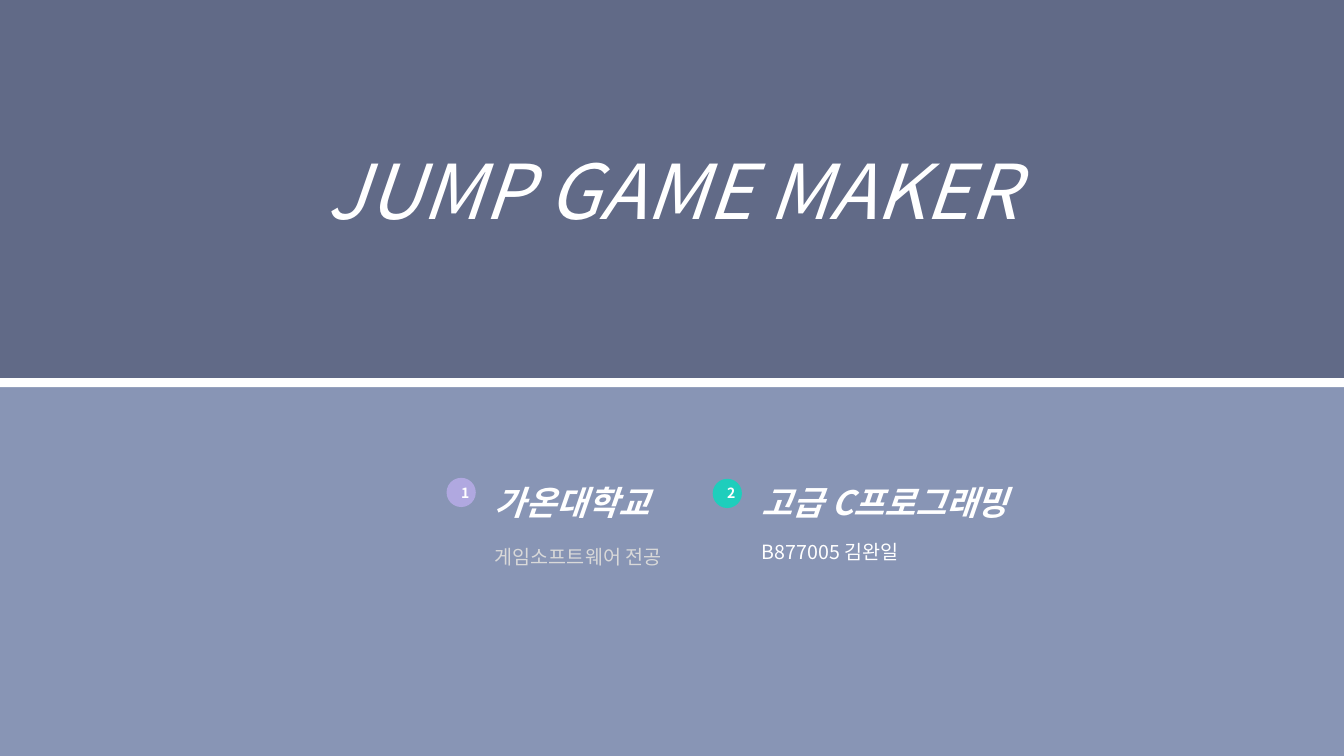
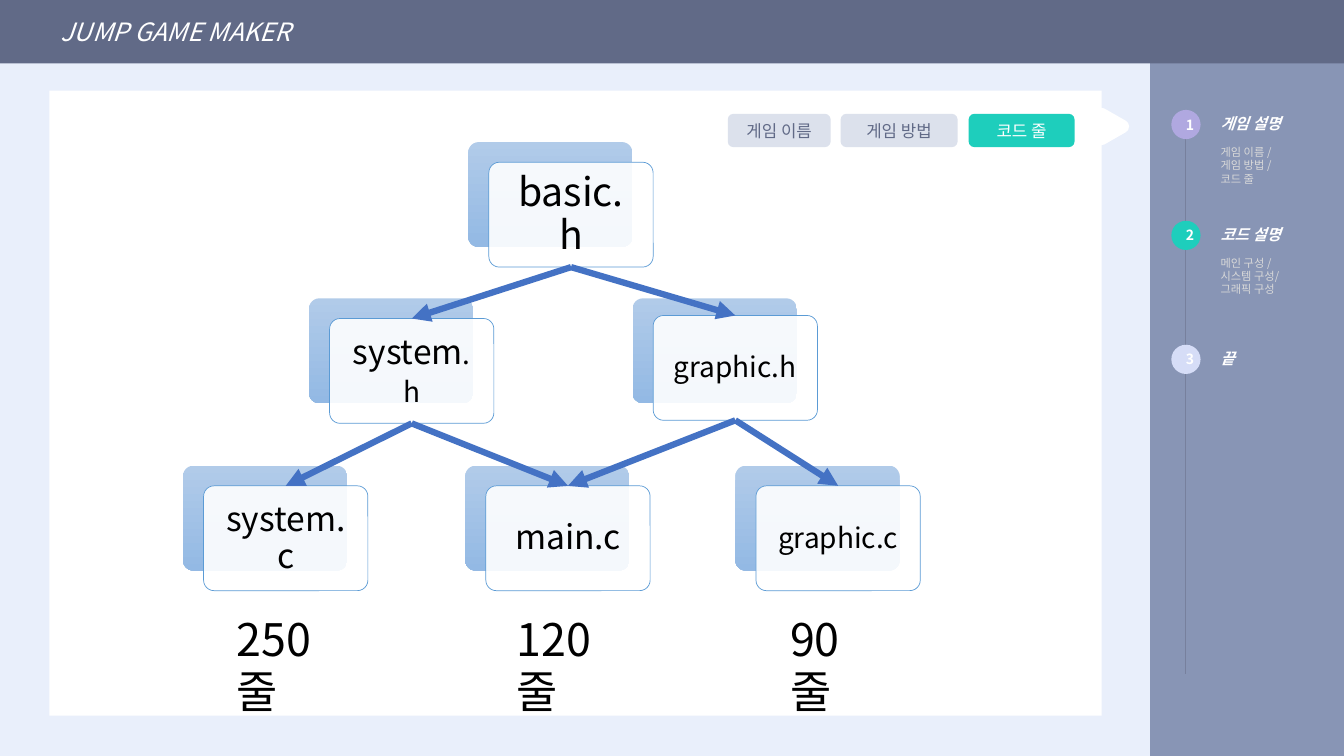
from dataclasses import dataclass

from lxml import etree
from pptx import Presentation
from pptx.dml.color import RGBColor
from pptx.enum.shapes import MSO_CONNECTOR, MSO_SHAPE
from pptx.enum.text import MSO_ANCHOR, PP_ALIGN
from pptx.oxml.ns import qn
from pptx.util import Inches, Pt

RECTANGLE = MSO_SHAPE.RECTANGLE
ROUNDED = MSO_SHAPE.ROUNDED_RECTANGLE
OVAL = MSO_SHAPE.OVAL
TRIANGLE = MSO_SHAPE.ISOSCELES_TRIANGLE
STRAIGHT = MSO_CONNECTOR.STRAIGHT
LEFT, CENTER = PP_ALIGN.LEFT, PP_ALIGN.CENTER
TOP, MIDDLE = MSO_ANCHOR.TOP, MSO_ANCHOR.MIDDLE
TOP_SITE, BOTTOM_SITE = 0, 2

COLUMNS, ROWS = 133.33, 75
TITLE = "JUMP GAME MAKER"


@dataclass(frozen=True)
class TextStyle:
    size: float
    color: str = "FFFFFF"
    bold: bool = False
    italic: bool = False


@dataclass(frozen=True)
class Theme:
    font: str = "Noto Sans CJK KR"
    white: str = "FFFFFF"
    page: str = "E9EFFB"
    navy: str = "616A87"
    slate: str = "8895B5"
    rail: str = "77809D"
    tab: str = "DCE1EC"
    lilac: str = "B0A8E0"
    teal: str = "1ECEBC"
    ice: str = "D6DDF7"
    card_line: str = "5B9BD5"
    arrow: str = "4472C4"
    card_shade: tuple = ("B1CBE9", "93B9E4")
    line_ratio: float = 1.17
    card_ratio: float = 1.1
    cover: TextStyle = TextStyle(54, italic=True)
    header: TextStyle = TextStyle(18, italic=True)
    badge: TextStyle = TextStyle(10, bold=True)
    cover_heading: TextStyle = TextStyle(24, bold=True, italic=True)
    cover_muted: TextStyle = TextStyle(14, "D9D9D9")
    cover_detail: TextStyle = TextStyle(14)
    side_heading: TextStyle = TextStyle(11, bold=True, italic=True)
    side_detail: TextStyle = TextStyle(8, "D9D9D9")
    tab_idle: TextStyle = TextStyle(12, "616A87")
    tab_active: TextStyle = TextStyle(12)
    count: TextStyle = TextStyle(32, "000000")


def grid(value):
    return Inches(value / 10)


def rgb(value):
    return RGBColor.from_string(value)


class Deck:
    def __init__(self, theme):
        self.theme = theme
        self.presentation = Presentation()
        self.presentation.slide_width = grid(COLUMNS)
        self.presentation.slide_height = grid(ROWS)
        self.slide = None

    def add_slide(self, background):
        self.slide = self.presentation.slides.add_slide(self.presentation.slide_layouts[6])
        fill = self.slide.background.fill
        fill.solid()
        fill.fore_color.rgb = rgb(background)

    def format_run(self, run, style):
        font = run.font
        font.name = self.theme.font
        font.size = Pt(style.size)
        font.bold = style.bold
        font.italic = style.italic
        font.color.rgb = rgb(style.color)
        east_asian = etree.Element(qn("a:ea"), typeface=self.theme.font)
        font._element.find(qn("a:latin")).addnext(east_asian)

    def format_frame(self, frame, anchor, margins):
        frame.word_wrap = True
        frame.vertical_anchor = anchor
        (frame.margin_left, frame.margin_top,
         frame.margin_right, frame.margin_bottom) = map(grid, margins)

    def label(self, shape, text, style, align=CENTER, margins=(1, 0.5, 1, 0.5), ratio=None):
        frame = shape.text_frame
        self.format_frame(frame, MIDDLE, margins)
        frame.text = text
        paragraph = frame.paragraphs[0]
        paragraph.alignment = align
        if ratio:
            paragraph.line_spacing = Pt(style.size * ratio)
        self.format_run(paragraph.runs[0], style)
        return paragraph

    def shape(self, kind, left, top, width, height, fill):
        shape = self.slide.shapes.add_shape(
            kind, grid(left), grid(top), grid(width), grid(height))
        shape.shadow.inherit = False
        shape.fill.solid()
        shape.fill.fore_color.rgb = rgb(fill)
        shape.line.fill.background()
        return shape

    def band(self, left, top, width, height, fill):
        return self.shape(RECTANGLE, left, top, width, height, fill)

    def badge(self, left, top, number, fill):
        circle = self.shape(OVAL, left, top, 2.9, 2.9, fill)
        self.label(circle, str(number), self.theme.badge, margins=(0.8, 0, 0, 0))

    def text_block(self, left, top, width, height, lines, gap=0):
        box = self.slide.shapes.add_textbox(grid(left), grid(top), grid(width), grid(height))
        frame = box.text_frame
        self.format_frame(frame, TOP, (1, 0.5, 1, 0.5))
        frame.text = "\n".join(text for text, _ in lines)
        for index, (paragraph, (_, style)) in enumerate(zip(frame.paragraphs, lines)):
            paragraph.alignment = LEFT
            paragraph.line_spacing = Pt(style.size * self.theme.line_ratio)
            if index == 1:
                paragraph.space_before = Pt(gap * self.theme.line_ratio)
            self.format_run(paragraph.runs[0], style)

    def tab(self, left, width, text, active):
        theme = self.theme
        tab = self.shape(ROUNDED, left, 11.3, width, 3.3, theme.teal if active else theme.tab)
        self.label(tab, text, theme.tab_active if active else theme.tab_idle)

    def card(self, left, top, text, size, drop=2, suffix=None):
        theme = self.theme
        shade = self.shape(ROUNDED, left - 2.05, top - drop, 16.3, 10.4, theme.white)
        shade.adjustments[0] = 0.1
        shade.fill.gradient()
        shade.fill.gradient_angle = 270
        for stop, color, position in zip(shade.fill.gradient_stops, theme.card_shade, (0, 1)):
            stop.color.rgb = rgb(color)
            stop.position = position
        card = self.shape(ROUNDED, left, top, 16.3, 10.4, theme.white)
        card.adjustments[0] = 0.1
        color = card.fill._xPr.find(".//" + qn("a:srgbClr"))
        etree.SubElement(color, qn("a:alpha"), val="90000")
        card.line.color.rgb = rgb(theme.card_line)
        card.line.width = Pt(0.5)
        paragraph = self.label(card, text, TextStyle(size, "000000"),
                               margins=(1.6,) * 4, ratio=theme.card_ratio)
        if suffix:
            run = paragraph.add_run()
            run.text = suffix
            self.format_run(run, TextStyle(20, "000000"))
        return card

    def line(self, start, end, color, width):
        connector = self.slide.shapes.add_connector(STRAIGHT, *map(grid, start + end))
        connector.line.color.rgb = rgb(color)
        connector.line.width = Pt(width)
        etree.SubElement(connector._element.spPr, qn("a:effectLst"))
        return connector

    def arrow(self, source, target):
        connector = self.line((0, 0), (0, 0), self.theme.arrow, 4.5)
        connector.begin_connect(source, BOTTOM_SITE)
        connector.end_connect(target, TOP_SITE)
        etree.SubElement(connector.line._get_or_add_ln(), qn("a:tailEnd"), type="triangle")

    def pointer(self, left, top, width, height):
        pointer = self.shape(TRIANGLE, left, top, width, height, self.theme.white)
        pointer.rotation = 90
        pointer.line.color.rgb = rgb(self.theme.white)
        pointer.line.width = Pt(9.5)
        etree.SubElement(pointer.line._get_or_add_ln(), qn("a:round"))


def build_cover(deck):
    theme = deck.theme
    deck.add_slide(theme.white)
    deck.band(0, 0, COLUMNS, ROWS, theme.slate)
    deck.badge(44.3, 47.4, 1, theme.lilac)
    deck.text_block(48.1, 47.4, 26.6, 9.8, [
        ("가온대학교", theme.cover_heading),
        ("게임소프트웨어 전공", theme.cover_muted)], gap=14)
    deck.badge(70.7, 47.5, 2, theme.teal)
    deck.text_block(74.6, 47.4, 31.7, 9.3, [
        ("고급 C프로그래밍", theme.cover_heading),
        ("B877005 김완일", theme.cover_detail)], gap=11)
    deck.band(0, 37.5, COLUMNS, 0.9, theme.white)
    title = deck.band(0, 0, COLUMNS, 37.5, theme.navy)
    deck.label(title, TITLE, theme.cover)


def build_sidebar(deck):
    theme = deck.theme
    deck.band(114.1, 0, COLUMNS - 114.1, ROWS, theme.slate)
    deck.line((117.6, 13.8), (117.6, 66.9), theme.rail, 1)
    sections = [
        (10.9, theme.lilac, "게임 설명", ["게임 이름 /", "게임 방법 /", "코드 줄"]),
        (21.9, theme.teal, "코드 설명", ["메인 구성 /", "시스템 구성/", "그래픽 구성"]),
        (34.2, theme.ice, "끝", []),
    ]
    for number, (top, color, heading, details) in enumerate(sections, 1):
        deck.badge(116.2, top, number, color)
        lines = [(heading, theme.side_heading)]
        lines += [(detail, theme.side_detail) for detail in details]
        deck.text_block(120.1, top, 13.2, 8.2 if details else 5.6, lines, gap=8)


def build_code_lines(deck):
    theme = deck.theme
    deck.add_slide(theme.page)
    build_sidebar(deck)
    deck.band(4.9, 9, 104.4, 62, theme.white)
    deck.pointer(109.1, 11.5, 2.4, 2.1)
    deck.tab(72.2, 10.2, "게임 이름", False)
    deck.tab(83.4, 11.6, "게임 방법", False)
    deck.tab(96.1, 10.5, "코드 줄", True)
    header = deck.band(0, 0, COLUMNS, 6.3, theme.navy)
    deck.label(header, TITLE, theme.header, LEFT, (6, 0.5, 1, 0.5))

    basic = deck.card(48.5, 16.1, "basic.h", 28)
    system_header = deck.card(32.7, 31.6, "system", 24, suffix=".h")
    graphic_header = deck.card(64.8, 31.3, "graphic.h", 20, drop=1.7)
    system_code = deck.card(20.2, 48.2, "system.c", 24)
    main_code = deck.card(48.2, 48.2, "main.c", 24)
    graphic_code = deck.card(75, 48.2, "graphic.c", 20)
    for source, target in [
        (basic, system_header), (basic, graphic_header),
        (system_header, system_code), (system_header, main_code),
        (graphic_header, graphic_code), (graphic_header, main_code),
    ]:
        deck.arrow(source, target)
    for left, text in [(22.5, "250줄"), (50.3, "120줄"), (77.4, "90줄")]:
        deck.text_block(left, 60.3, 10, 11, [(text, theme.count)])


def main():
    deck = Deck(Theme())
    build_cover(deck)
    build_code_lines(deck)
    deck.presentation.save("out.pptx")


if __name__ == "__main__":
    main()
